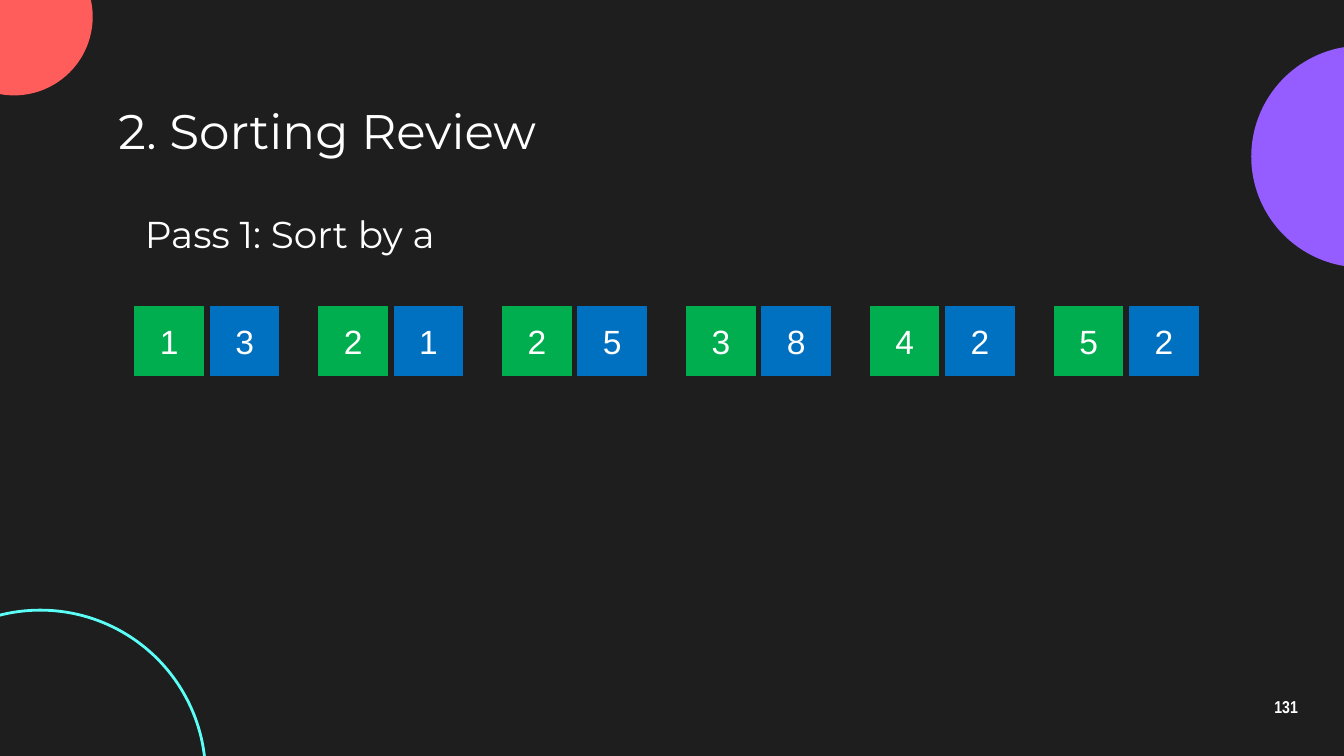
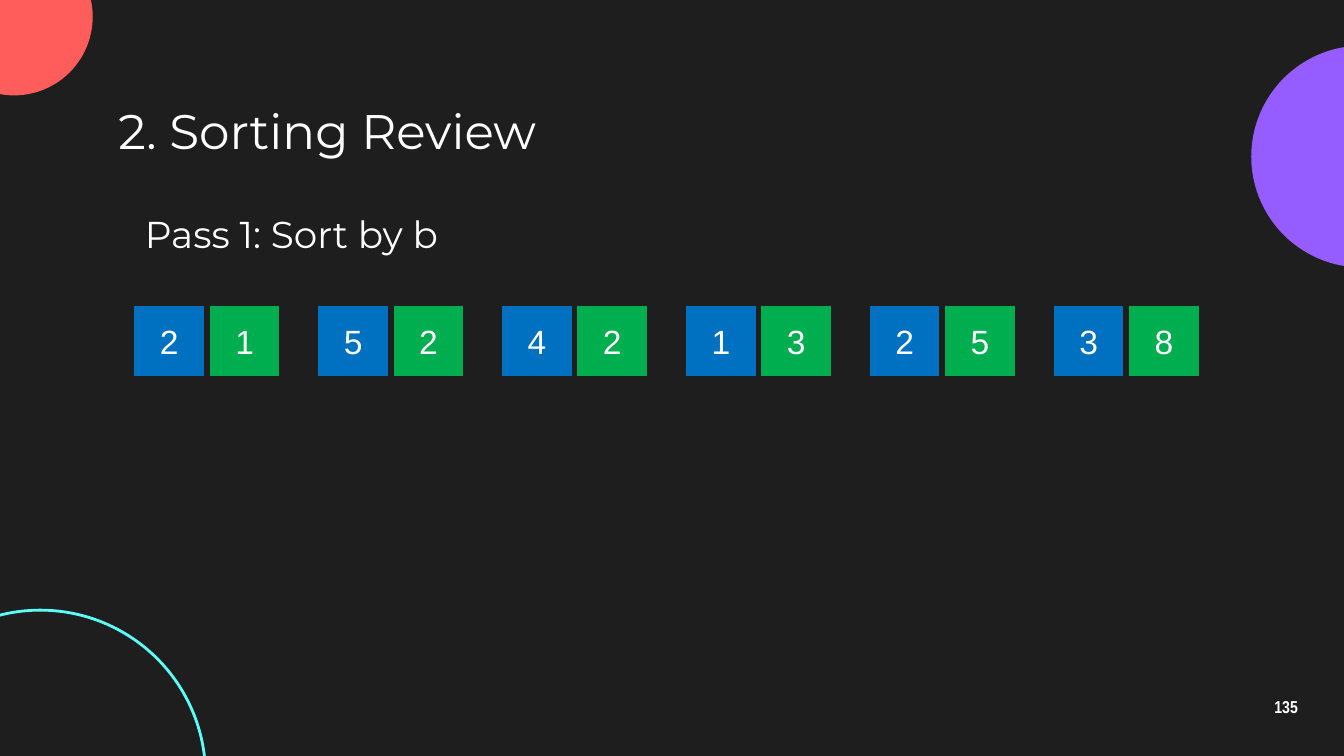
from pptx import Presentation
from pptx.dml.color import RGBColor
from pptx.enum.shapes import MSO_SHAPE
from pptx.enum.text import MSO_ANCHOR, MSO_AUTO_SIZE, PP_ALIGN
from pptx.util import Inches, Pt

OVAL, RECT = MSO_SHAPE.OVAL, MSO_SHAPE.RECTANGLE
LEFT, CENTER = PP_ALIGN.LEFT, PP_ALIGN.CENTER
TOP, MIDDLE = MSO_ANCHOR.TOP, MSO_ANCHOR.MIDDLE
NONE, GROW = MSO_AUTO_SIZE.NONE, MSO_AUTO_SIZE.SHAPE_TO_FIT_TEXT

DARK = RGBColor(0x1E, 0x1E, 0x1E)
WHITE = RGBColor(0xFF, 0xFF, 0xFF)
PURPLE = RGBColor(0x95, 0x5C, 0xFF)
CORAL = RGBColor(0xFF, 0x5C, 0x5C)
CYAN = RGBColor(0x5C, 0xFF, 0xF8)
GREEN = RGBColor(0x00, 0xAE, 0x4F)
BLUE = RGBColor(0x00, 0x70, 0xC0)

# Text formats
TITLE = {"name": "Montserrat", "size": Pt(26), "bold": False}
LABEL = {"name": "Montserrat", "size": Pt(20)}
DIGIT = {"name": "Arial", "size": Pt(18)}
NUMBER = {"name": "Arial Narrow", "size": Pt(9.2), "bold": True}

# Corner circles: left, top, size, fill, line
CIRCLES = [
    (9.31, 0.34, 1.65, PURPLE, None),
    (-0.48, -0.46, 1.17, CORAL, None),
    (-0.93, 4.54, 2.46, None, CYAN),
]

# Pass label, page number, colours of each pair, pairs in order
SLIDES = [
    ("Pass 1: Sort by a", "131", (GREEN, BLUE),
     [(1, 3), (2, 1), (2, 5), (3, 8), (4, 2), (5, 2)]),
    ("Pass 1: Sort by b", "135", (BLUE, GREEN),
     [(2, 1), (5, 2), (4, 2), (1, 3), (2, 5), (3, 8)]),
]


def write(shape, text, style, align=LEFT, anchor=TOP):
    frame = shape.text_frame
    frame.text = text
    frame.word_wrap = True
    frame.vertical_anchor = anchor
    para = frame.paragraphs[0]
    para.alignment = align
    font = para.runs[0].font
    for key, value in style.items():
        setattr(font, key, value)
    font.color.rgb = WHITE
    return frame


def pad(frame, size):
    for side in ("left", "top", "right", "bottom"):
        setattr(frame, f"margin_{side}", Inches(size))


def draw(shapes, kind, box, fill, line, width):
    shape = shapes.add_shape(kind, *map(Inches, box))
    shape.shadow.inherit = False
    if fill is None:
        shape.fill.background()
    else:
        shape.fill.solid()
        shape.fill.fore_color.rgb = fill
    if line is None:
        shape.line.fill.background()
    else:
        shape.line.color.rgb = line
        shape.line.width = Pt(width)
    return shape


def add_decor(slide):
    for left, top, size, fill, line in CIRCLES:
        draw(slide.shapes, OVAL, (left, top, size, size), fill, line, 1.5)


def add_title(slide, text, box):
    title = slide.shapes.title
    title.left, title.top, title.width, title.height = map(Inches, box)
    frame = write(title, text, TITLE, anchor=MIDDLE)
    frame.auto_size = NONE
    pad(frame, 0.1)


def add_label(slide, text, box):
    label = slide.shapes.add_textbox(*map(Inches, box))
    write(label, text, LABEL).auto_size = GROW


def add_number(slide, text, box):
    number = slide.shapes.add_textbox(*map(Inches, box))
    frame = write(number, text, NUMBER, CENTER, MIDDLE)
    frame.paragraphs[0].line_spacing = 0.9
    pad(frame, 0.1)


def add_pairs(slide, pairs, fills, box):
    """Spread the pairs evenly, from the left to the right edge of the box."""
    left, top, width, side = box
    step = (width - 2 * side) / (len(pairs) - 1)
    for i, pair in enumerate(pairs):
        group = slide.shapes.add_group_shape()
        for j, (digit, fill) in enumerate(zip(pair, fills)):
            place = (left + i * step + j * side, top, side, side)
            cell = draw(group.shapes, RECT, place, fill, DARK, 3)
            write(cell, str(digit), DIGIT, CENTER, MIDDLE)


def add_pass(deck, label, page, fills, pairs):
    slide = deck.slides.add_slide(deck.slide_layouts[5])
    add_decor(slide)
    add_number(slide, page, (9.27, 5.1, 0.6, 0.34))
    add_title(slide, "2. Sorting Review", (0.78, 0.71, 8.44, 0.51))
    add_pairs(slide, pairs, fills, (0.98, 2.26, 7.96, 0.56))
    add_label(slide, label, (0.98, 1.52, 2.98, 0.44))


def main():
    deck = Presentation()
    deck.slide_width = Inches(10)
    deck.slide_height = deck.slide_width * 9 // 16
    back = deck.slide_master.background.fill
    back.solid()
    back.fore_color.rgb = DARK
    for row in SLIDES:
        add_pass(deck, *row)
    deck.save("out.pptx")


if __name__ == "__main__":
    main()
